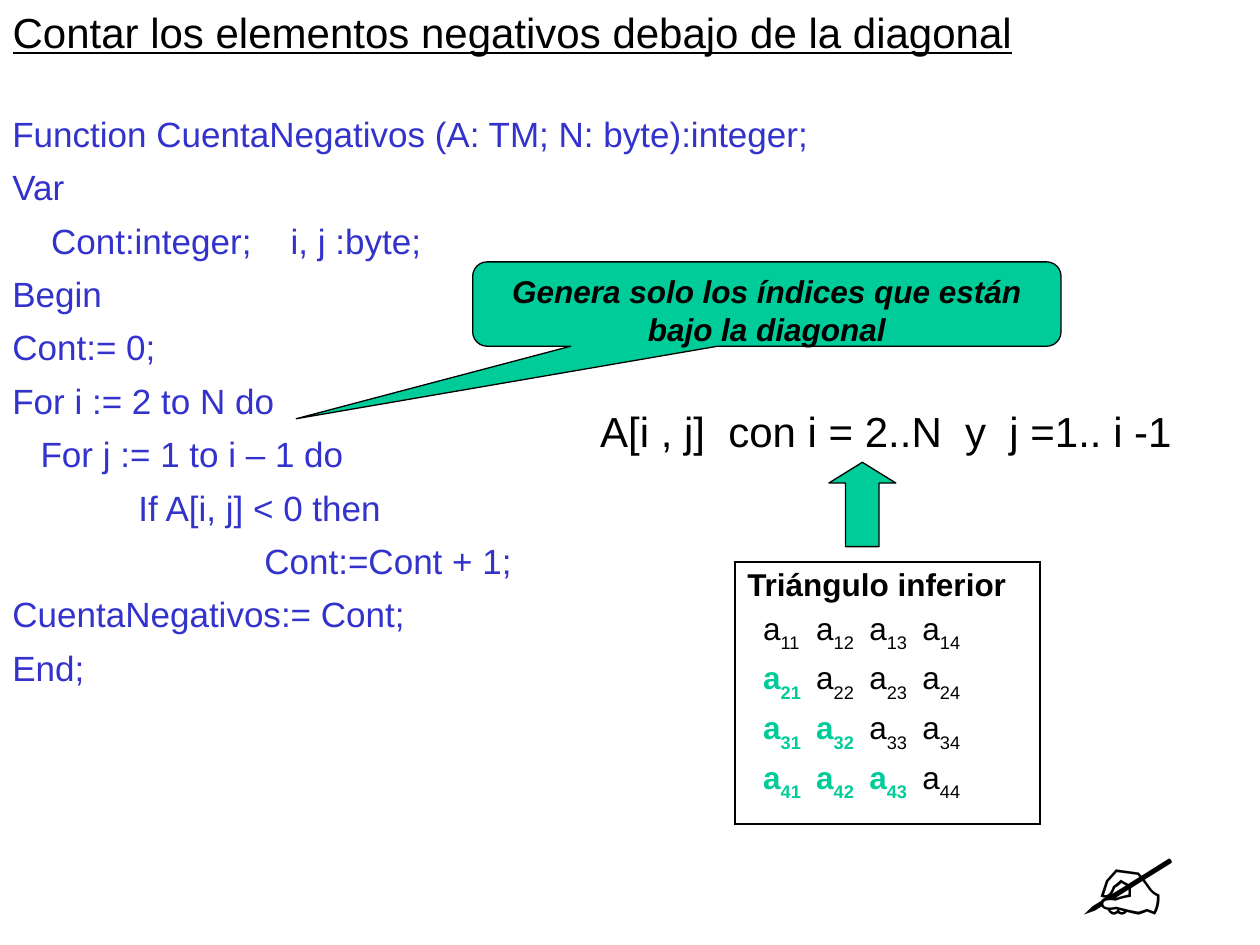
"""Build the slide that counts negative elements below a matrix diagonal."""
from dataclasses import dataclass

from lxml import etree
from pptx import Presentation
from pptx.dml.color import RGBColor
from pptx.enum.shapes import MSO_SHAPE
from pptx.enum.text import MSO_ANCHOR, MSO_AUTO_SIZE, PP_ALIGN
from pptx.oxml.ns import qn
from pptx.util import Cm, Pt

BLACK = RGBColor(0x00, 0x00, 0x00)
WHITE = RGBColor(0xFF, 0xFF, 0xFF)
BLUE = RGBColor(0x33, 0x33, 0xCC)
GREEN = RGBColor(0x00, 0xCC, 0x99)
CALLOUT = MSO_SHAPE.ROUNDED_RECTANGULAR_CALLOUT
ARROW = MSO_SHAPE.UP_ARROW
TOP = MSO_ANCHOR.TOP
LEFT, CENTER = PP_ALIGN.LEFT, PP_ALIGN.CENTER
GROW = MSO_AUTO_SIZE.SHAPE_TO_FIT_TEXT
ORDER = 4


@dataclass
class Box:
    left: float
    top: float
    width: float
    height: float

    def emu(self) -> tuple:
        return Cm(self.left), Cm(self.top), Cm(self.width), Cm(self.height)


@dataclass
class Line:
    text: str
    stops: tuple = ()


@dataclass
class Look:
    size: float
    color: RGBColor = BLACK
    bold: bool = False
    italic: bool = False
    under: bool = False
    before: float = 0
    space: float = 1
    align: int = LEFT


CODE = (
    Line("Function CuentaNegativos (A: TM; N: byte):integer;"),
    Line("Var"),
    Line("\tCont:integer;\ti, j :byte;", (0.78, 5.61)),
    Line("Begin"),
    Line("Cont:= 0;"),
    Line("For i := 2 to N do"),
    Line("\tFor j := 1 to i – 1 do", (0.57,)),
    Line("\tIf A[i, j] < 0 then", (2.54,)),
    Line("\tCont:=Cont + 1;", (5.08,)),
    Line("CuentaNegativos:= Cont;"),
    Line("End;"),
)


def style(run, look: Look) -> None:
    font = run.font
    font.name, font.size = "Arial", Pt(look.size)
    font.bold, font.italic, font.underline = look.bold, look.italic, look.under
    font.color.rgb = look.color


def set_tabs(para, stops: tuple) -> None:
    if stops:
        tabs = etree.SubElement(para._p.get_or_add_pPr(), qn("a:tabLst"))
        for stop in stops:
            etree.SubElement(tabs, qn("a:tab"), pos=str(int(Cm(stop))), algn="l")


def write(frame, lines: tuple, look: Look) -> None:
    frame.text = "\n".join(line.text for line in lines)
    frame.vertical_anchor = TOP
    for para, line in zip(frame.paragraphs, lines):
        para.alignment = look.align
        para.space_before = Pt(look.before)
        para.line_spacing = look.space
        set_tabs(para, line.stops)
        for run in para.runs:
            style(run, look)


def add_text(slide, box: Box, lines: tuple, look: Look, wrap: bool = True) -> None:
    frame = slide.shapes.add_textbox(*box.emu()).text_frame
    write(frame, lines, look)
    frame.word_wrap = wrap
    frame.auto_size = GROW


def add_form(slide, kind, box: Box, adjust: tuple):
    form = slide.shapes.add_shape(kind, *box.emu())
    form.shadow.inherit = False
    form.fill.solid()
    form.fill.fore_color.rgb = GREEN
    form.line.color.rgb = BLACK
    form.line.width = Pt(0.75)
    for pos, value in enumerate(adjust):
        form.adjustments[pos] = value
    return form


def add_border(cell) -> None:
    props = cell._tc.get_or_add_tcPr()
    for pos, side in enumerate(("lnL", "lnR", "lnT", "lnB")):
        edge = etree.Element(qn(f"a:{side}"), w=str(int(Pt(1.08))))
        fill = etree.SubElement(edge, qn("a:solidFill"))
        etree.SubElement(fill, qn("a:srgbClr"), val=str(BLACK))
        props.insert(pos, edge)


def add_row(frame, row: int) -> None:
    para = frame.add_paragraph()
    para.space_before = Pt(4.5)
    set_tabs(para, tuple(0.32 + 1.07 * col for col in range(ORDER)))
    for col in range(1, ORDER + 1):
        below = row > col
        look = Look(18, GREEN if below else BLACK, bold=below)
        for text, shift in (("\ta", 0), (f"{row}{col}", -30000)):
            run = para.add_run()
            run.text = text
            style(run, look)
            run.font._element.set("baseline", str(shift))


def add_matrix(slide, box: Box) -> None:
    table = slide.shapes.add_table(1, 1, *box.emu()).table
    table.first_row = table.horz_banding = False
    cell = table.cell(0, 0)
    cell.fill.solid()
    cell.fill.fore_color.rgb = WHITE
    add_border(cell)
    write(cell.text_frame, (Line("Triángulo inferior"),), Look(18, bold=True, before=4.5))
    for row in range(1, ORDER + 1):
        add_row(cell.text_frame, row)


def main() -> None:
    deck = Presentation()
    deck.slide_width, deck.slide_height = Cm(25.4), Cm(19.05)
    slide = deck.slides.add_slide(deck.slide_layouts[5])
    title = slide.shapes.title
    title.left, title.top, title.width, title.height = Box(0, 0, 25.4, 1.27).emu()
    heading = Line("Contar los elementos negativos debajo de la diagonal")
    write(title.text_frame, (heading,), Look(24, under=True, before=15))
    title.text_frame.auto_size = GROW

    add_text(slide, Box(0, 2.34, 16.71, 11.66), CODE,
             Look(20, BLUE, before=12.5, space=0.75))
    add_matrix(slide, Box(14.81, 11.33, 6.15, 5.28))
    note = add_form(slide, CALLOUT, Box(9.53, 5.28, 11.86, 1.7), (-0.8, 1.36, 0.17))
    hint = (Line("Genera solo los índices que están"), Line("bajo la diagonal"))
    write(note.text_frame, hint, Look(18, bold=True, italic=True, align=CENTER))
    add_text(slide, Box(11.85, 8.33, 12.9, 0.97),
             (Line("A[i , j]  con i = 2..N  y  j =1.. i -1"),),
             Look(24, before=19.5, space=0.7))
    add_form(slide, ARROW, Box(16.71, 9.32, 1.35, 1.7), (0.5, 0.31))
    add_text(slide, Box(21.54, 16.18, 3.25, 2.79), (Line("✍"),), Look(60), wrap=False)
    deck.save("out.pptx")


if __name__ == "__main__":
    main()
